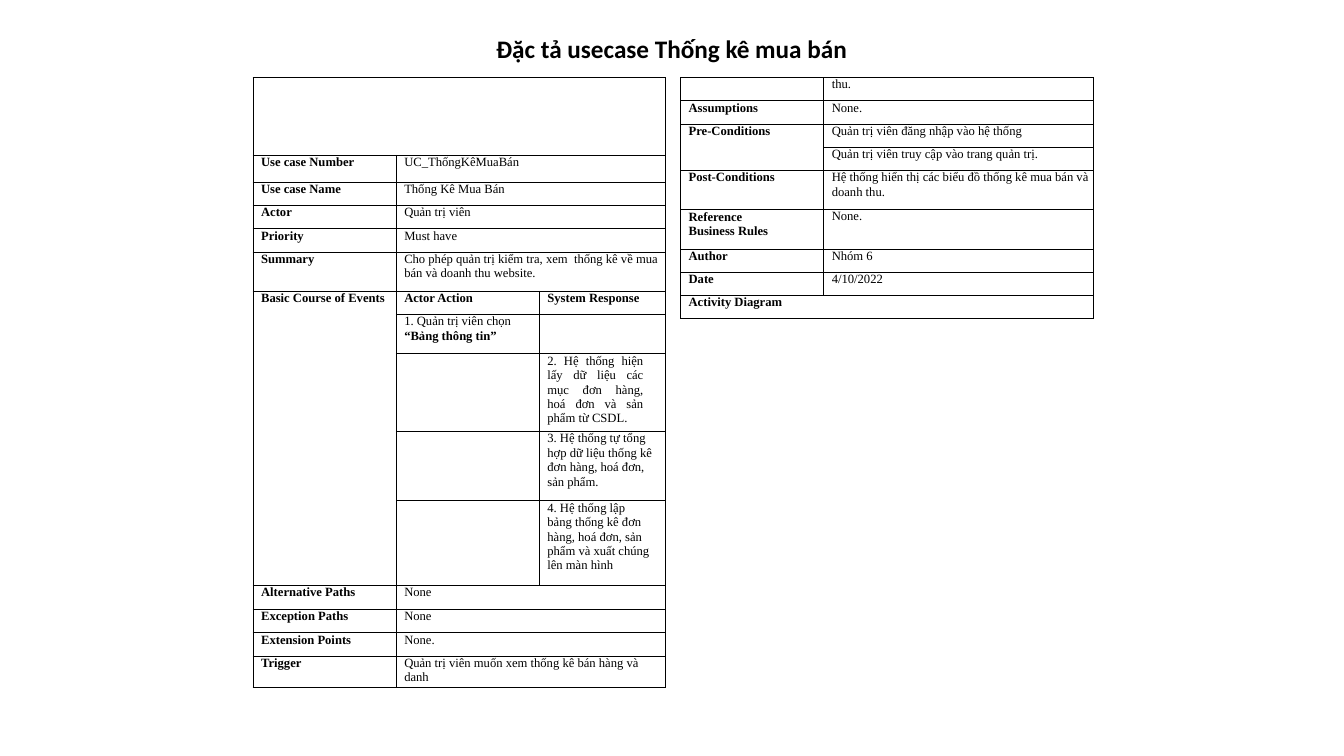
from dataclasses import dataclass

from lxml.etree import SubElement
from pptx import Presentation
from pptx.dml.color import RGBColor
from pptx.enum.text import MSO_ANCHOR, PP_ALIGN
from pptx.oxml import parse_xml
from pptx.oxml.ns import nsdecls, qn
from pptx.util import Inches, Pt


@dataclass(frozen=True)
class Theme:
    ink: str = "000000"
    title_font: str = "Calibri"
    body_font: str = "Times New Roman"
    title_size: float = 18
    body_size: float = 9
    rule_width: float = 0.58


@dataclass(frozen=True)
class Step:
    """A system response with its own right margin in inches."""
    text: str
    margin_right: float
    align: PP_ALIGN = PP_ALIGN.LEFT


THEME = Theme()
INK = RGBColor.from_string(THEME.ink)
TABLE_TOP = 0.77
LINE_SPACING = 1.03

# Each row: height in inches, then its cells. A leading * makes a paragraph bold.
MAIN_ROWS = [
    (0.77, "", "", ""),
    (0.27, "*Use case Number", "UC_ThốngKêMuaBán", ""),
    (0.23, "*Use case Name", "Thống Kê Mua Bán", ""),
    (0.23, "*Actor", "Quản trị viên", ""),
    (0.23, "*Priority", "Must have", ""),
    (0.39, "*Summary",
     "Cho phép quản trị kiểm tra, xem  thống kê về mua\nbán và doanh thu website.", ""),
    (0.23, "*Basic Course of Events", "*Actor Action", "*System Response"),
    (0.39, "", "1. Quản trị viên chọn\n*“Bảng thông tin”", ""),
    (0.77, "", "", Step("2. Hệ thống hiện lấy dữ liệu các mục đơn hàng, hoá đơn và "
                        "sản phẩm từ CSDL.", 0.22, PP_ALIGN.JUSTIFY)),
    (0.69, "", "", Step("3. Hệ thống tự tổng hợp dữ liệu thống kê đơn hàng, hoá đơn, "
                        "sản phẩm.", 0.12)),
    (0.84, "", "", Step("4. Hệ thống lập bảng thống kê đơn hàng, hoá đơn, sản phẩm "
                        "và xuất chúng lên màn hình", 0.16)),
    (0.24, "*Alternative Paths", "None", ""),
    (0.23, "*Exception Paths", "None", ""),
    (0.23, "*Extension Points", "None.", ""),
    (0.31, "*Trigger", "Quản trị viên muốn xem thống kê bán hàng và danh", ""),
]
EVENT_ROWS = range(6, 11)
MAIN_MERGES = [((0, 0), (0, 2)), ((EVENT_ROWS[0], 0), (EVENT_ROWS[-1], 0))] + [
    ((row, 1), (row, 2)) for row in range(1, len(MAIN_ROWS)) if row not in EVENT_ROWS
]

CONTINUED_ROWS = [
    (0.23, "", "thu."),
    (0.23, "*Assumptions", "None."),
    (0.23, "*Pre-Conditions", "Quản trị viên đăng nhập vào hệ thống"),
    (0.23, "", "Quản trị viên truy cập vào trang quản trị."),
    (0.39, "*Post-Conditions",
     "Hệ thống hiển thị các biểu đồ thống kê mua bán và\ndoanh thu."),
    (0.39, Step("*Reference Business Rules", 0.45), "None."),
    (0.23, "*Author", "Nhóm 6"),
    (0.23, "*Date", "4/10/2022"),
    (0.23, "*Activity Diagram", ""),
]
CONTINUED_MERGES = [((2, 0), (3, 0)), ((8, 0), (8, 1))]


def style_font(font, name, size, bold):
    font.name, font.size, font.bold = name, Pt(size), bold
    font.color.rgb = INK


def add_title(slide, text):
    title = slide.shapes.title
    title.left, title.top = Inches(4.82), Inches(0.28)
    title.width, title.height = Inches(3.7), Inches(0.4)
    frame = title.text_frame
    frame.text = text
    frame.word_wrap = False
    frame.vertical_anchor = MSO_ANCHOR.MIDDLE
    heading = frame.paragraphs[0]
    heading.alignment = PP_ALIGN.LEFT
    heading.line_spacing = 1.0
    style_font(heading.font, THEME.title_font, THEME.title_size, True)


def rule_cell(cell):
    """Draw a thin rule on all four sides of the cell."""
    properties = cell._tc.get_or_add_tcPr()
    for position, side in enumerate(("lnL", "lnR", "lnT", "lnB")):
        rule = parse_xml(f'<a:{side} {nsdecls("a")} w="{Pt(THEME.rule_width)}"/>')
        fill = SubElement(rule, qn("a:solidFill"))
        SubElement(fill, qn("a:srgbClr"), val=THEME.ink)
        properties.insert(position, rule)


def fill_cell(cell, content):
    step = content if isinstance(content, Step) else None
    cell.margin_left = Inches(0.08)
    cell.margin_top = cell.margin_bottom = 0
    cell.margin_right = Inches(step.margin_right if step else 0)
    cell.vertical_anchor = MSO_ANCHOR.TOP
    cell.fill.background()
    rule_cell(cell)

    lines = (step.text if step else content).split("\n")
    cell.text = "\n".join(line.removeprefix("*") for line in lines)
    for index, (line, paragraph) in enumerate(zip(lines, cell.text_frame.paragraphs)):
        style_font(paragraph.font, THEME.body_font, THEME.body_size, line.startswith("*"))
        paragraph.alignment = step.align if step else PP_ALIGN.LEFT
        if step:
            paragraph.line_spacing = LINE_SPACING
        if index:
            paragraph.space_before = Pt(0.6)


def add_spec_table(slide, left, column_widths, rows, merges):
    height = sum(row[0] for row in rows)
    table = slide.shapes.add_table(
        len(rows), len(column_widths), Inches(left), Inches(TABLE_TOP),
        Inches(sum(column_widths)), Inches(height)).table
    table.first_row = table.horz_banding = False
    for column, width in zip(table.columns, column_widths):
        column.width = Inches(width)
    for row_index, (row_height, *contents) in enumerate(rows):
        table.rows[row_index].height = Inches(row_height)
        for column_index, content in enumerate(contents):
            fill_cell(table.cell(row_index, column_index), content)
    for first, last in merges:
        table.cell(*first).merge(table.cell(*last))


def main():
    deck = Presentation()
    deck.slide_width, deck.slide_height = Inches(13.33), Inches(7.5)
    slide = deck.slides.add_slide(deck.slide_layouts.get_by_name("Title Only"))
    add_title(slide, "Đặc tả usecase Thống kê mua bán")
    add_spec_table(slide, 2.51, (1.42, 1.42, 1.25), MAIN_ROWS, MAIN_MERGES)
    add_spec_table(slide, 6.75, (1.42, 2.67), CONTINUED_ROWS, CONTINUED_MERGES)
    deck.save("out.pptx")


if __name__ == "__main__":
    main()
